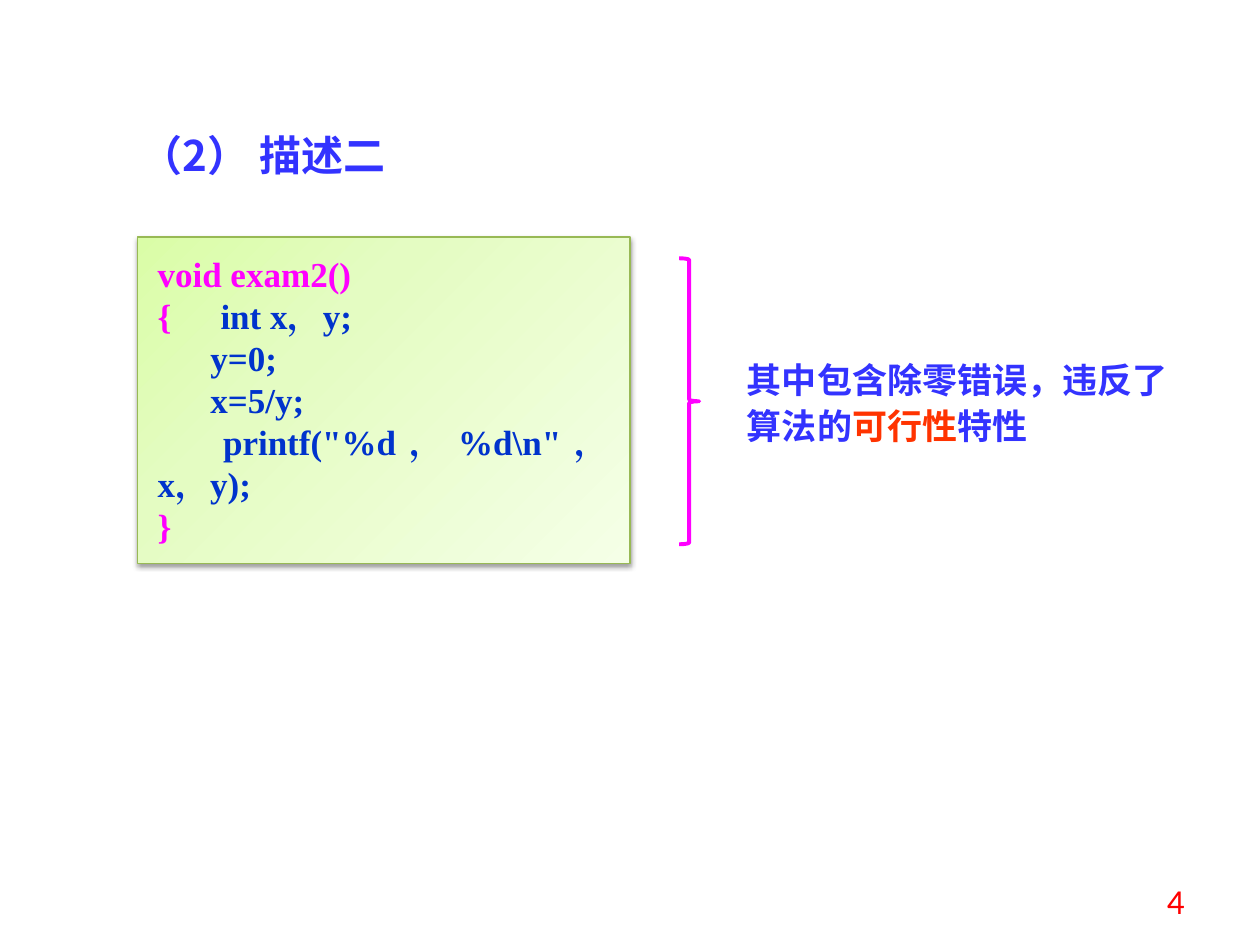
from collections import namedtuple
from dataclasses import dataclass

from pptx import Presentation
from pptx.dml import color
from pptx.enum import shapes, text
from pptx.oxml import parse_xml
from pptx.oxml import ns
from pptx import util as u

COLUMNS, ROWS = 100, 75
Box = namedtuple("Box", "column row columns rows")
Span = namedtuple("Span", "words colour")


@dataclass(frozen=True)
class Theme:
    """Colours, fonts and type sizes of the deck."""
    blue: str = "3333FF"
    code: str = "0033CC"
    magenta: str = "FF00FF"
    alert: str = "FF3300"
    number: str = "FF0000"
    border: str = "98B955"
    panel: tuple = ((0, "DAFDA7"), (35, "E4FCC2"), (100, "F5FFE7"))
    heading_font: str = "Noto Sans CJK SC"
    code_font: str = "Times New Roman"
    number_font: str = "Calibri"
    heading_size: int = 24
    body_size: int = 20


THEME = Theme()
CODE_LINES = (
    (0, (Span("void exam2()", THEME.magenta),)),
    (0, (Span("{\t", THEME.magenta), Span("int x，y;", THEME.code))),
    (0.42, (Span("y=0;", THEME.code),)),
    (0.42, (Span("x=5/y;", THEME.code),)),
    (0.52, (Span('printf("%d，%d\\n"，x，y);', THEME.code),)),
    (0, (Span("}", THEME.magenta),)),
)
NOTE = (
    Span("其中包含除零错误，违反了算法的", THEME.blue),
    Span("可行性", THEME.alert),
    Span("特性", THEME.blue),
)


def rgb(value):
    """Return a colour object for a hex value."""
    return color.RGBColor.from_string(value)


def place(deck, box):
    """Turn a grid box into left, top, width and height."""
    column, row = deck.slide_width / COLUMNS, deck.slide_height / ROWS
    return (round(box.column * column), round(box.row * row),
            round(box.columns * column), round(box.rows * row))


def write(para, spans, font, size, bold=True):
    """Fill a paragraph with coloured spans in one typeface."""
    for span in spans:
        run = para.add_run()
        run.text = span.words
        run.font.name = font
        run.font.size = u.Pt(size)
        run.font.bold = bold
        run.font.color.rgb = rgb(span.colour)
        run.font._element.append(parse_xml(
            f'<a:ea {ns.nsdecls("a")} typeface="{font}"/>'))


def paint_panel(panel):
    """Give the code panel its gradient, border and soft shadow."""
    panel.fill.gradient()
    panel.fill.gradient_angle = 315
    stops = panel._element.spPr.find(".//" + ns.qn("a:gsLst"))
    stops.clear()
    for share, value in THEME.panel:
        stops.append(parse_xml(
            f'<a:gs {ns.nsdecls("a")} pos="{share * 1000}">'
            f'<a:srgbClr val="{value}"/></a:gs>'))
    panel.line.color.rgb = rgb(THEME.border)
    panel.line.width = u.Pt(0.75)
    panel.shadow.inherit = False
    panel._element.spPr.find(ns.qn("a:effectLst")).append(parse_xml(
        f'<a:outerShdw {ns.nsdecls("a")} blurRad="{u.Pt(3.1)}" '
        f'dist="{u.Pt(1.6)}" dir="5400000" rotWithShape="0">'
        '<a:srgbClr val="000000"><a:alpha val="38000"/></a:srgbClr>'
        '</a:outerShdw>'))


def add_code(deck, page, box):
    """Place the panel with the code listing."""
    panel = page.shapes.add_shape(shapes.MSO_SHAPE.RECTANGLE, *place(deck, box))
    paint_panel(panel)
    frame = panel.text_frame
    frame.word_wrap = True
    frame.auto_size = text.MSO_AUTO_SIZE.SHAPE_TO_FIT_TEXT
    frame.vertical_anchor = text.MSO_ANCHOR.TOP
    frame.margin_left = frame.margin_right = u.Inches(0.16)
    frame.margin_top = frame.margin_bottom = u.Inches(0.12)
    for index, (indent, spans) in enumerate(CODE_LINES):
        para = frame.add_paragraph() if index else frame.paragraphs[0]
        para.alignment = text.PP_ALIGN.JUSTIFY
        properties = para._p.get_or_add_pPr()
        properties.set("marL", "0")
        properties.set("indent", str(u.Inches(indent)))
        properties.append(parse_xml(
            f'<a:tabLst {ns.nsdecls("a")}>'
            f'<a:tab pos="{u.Inches(0.46)}" algn="l"/></a:tabLst>'))
        write(para, spans, THEME.code_font, THEME.body_size)


def add_brace(deck, page, box):
    """Place the brace that ties the code to its note."""
    brace = page.shapes.add_shape(shapes.MSO_SHAPE.RIGHT_BRACE, *place(deck, box))
    brace.fill.background()
    brace.line.color.rgb = rgb(THEME.magenta)
    brace.line.width = u.Pt(2.25)
    brace.shadow.inherit = False


def add_statement(deck, page, box, spans, size):
    """Place a bold statement with open line spacing."""
    frame = page.shapes.add_textbox(*place(deck, box)).text_frame
    frame.word_wrap = True
    frame.auto_size = text.MSO_AUTO_SIZE.SHAPE_TO_FIT_TEXT
    para = frame.paragraphs[0]
    para.line_spacing = 1.1
    para.space_before = u.Pt(size / 2)
    write(para, spans, THEME.heading_font, size)


def add_page_number(deck, page, box, number):
    """Place the page number at the right of its box."""
    frame = page.shapes.add_textbox(*place(deck, box)).text_frame
    frame.word_wrap = True
    frame.vertical_anchor = text.MSO_ANCHOR.MIDDLE
    para = frame.paragraphs[0]
    para.alignment = text.PP_ALIGN.RIGHT
    write(para, (Span(number, THEME.number),), THEME.number_font,
          THEME.body_size, bold=False)


def main():
    """Build the slide and save the deck."""
    deck = Presentation()
    deck.slide_width, deck.slide_height = u.Inches(10), u.Inches(7.5)
    page = deck.slides.add_slide(deck.slide_layouts[6])
    add_code(deck, page, Box(10.9, 18.8, 39.1, 25.9))
    add_brace(deck, page, Box(53.9, 20.5, 1.6, 22.7))
    add_statement(deck, page, Box(58.3, 27.6, 36.7, 8.4), NOTE, THEME.body_size)
    add_statement(deck, page, Box(10.2, 9.4, 25.8, 5.1),
                  (Span("（2） 描述二", THEME.blue),), THEME.heading_size)
    add_page_number(deck, page, Box(71.7, 69.5, 23.3, 4), "4")
    deck.save("out.pptx")


if __name__ == "__main__":
    main()
